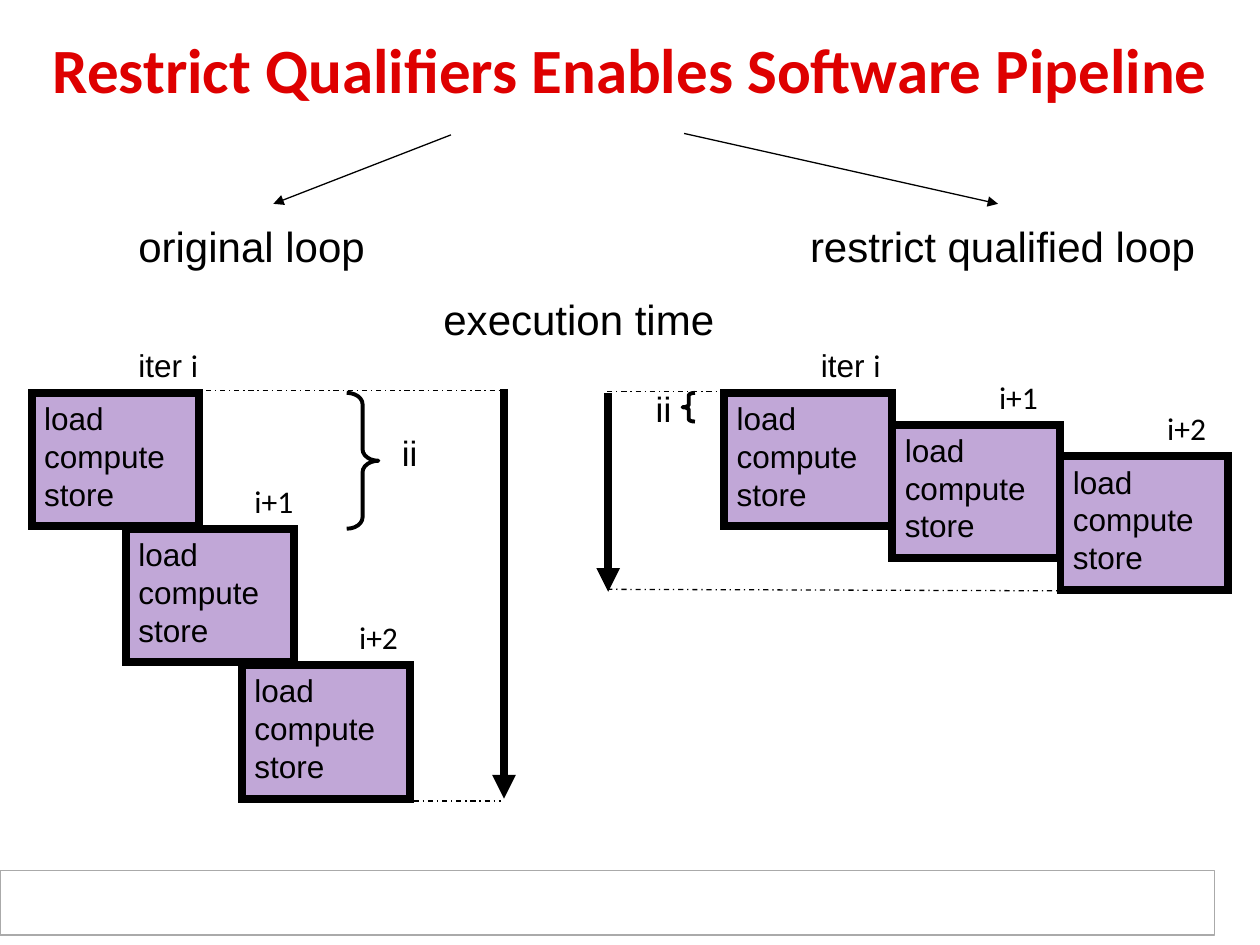
from lxml.etree import SubElement
from pptx import Presentation
from pptx.dml.color import RGBColor
from pptx.enum.dml import MSO_LINE
from pptx.enum.shapes import MSO_CONNECTOR, MSO_SHAPE
from pptx.enum.text import MSO_ANCHOR, MSO_AUTO_SIZE, PP_ALIGN
from pptx.oxml.ns import qn
from pptx.util import Cm, Pt

COLORS = {
    "title": "DE0000",
    "ink": "000000",
    "block": "C1A7D7",
    "paper": "FFFFFF",
    "footer line": "AAAAAA",
}
BLOCK_WIDTH, BLOCK_HEIGHT = 3.38, 2.69
LABEL_RISE = 1.07
# Width and (text, font) runs of each iteration label.
ITERATIONS = [
    (1.75, [("iter ", "Arial"), ("i", "Calibri")]),
    (1.4, [("i+1", "Calibri")]),
    (1.4, [("i+2", "Calibri")]),
]


def color(name):
    return RGBColor.from_string(COLORS[name])


def add_run(paragraph, text, size, font="Arial", ink="ink", bold=False):
    run = paragraph.add_run()
    run.text = text
    run.font.size = Pt(size)
    run.font.name = font
    run.font.bold = bold
    run.font.color.rgb = color(ink)


def add_label(slide, left, top, width, height, runs, size):
    """Add a one-line text box; runs holds (text, font) pairs."""
    box = slide.shapes.add_textbox(Cm(left), Cm(top), Cm(width), Cm(height))
    box.text_frame.word_wrap = False
    box.text_frame.auto_size = MSO_AUTO_SIZE.SHAPE_TO_FIT_TEXT
    for text, font in runs:
        add_run(box.text_frame.paragraphs[0], text, size, font)


def add_figure(slide, kind, left, top, width, height, line, weight, fill=None):
    shape = slide.shapes.add_shape(kind, Cm(left), Cm(top), Cm(width), Cm(height))
    shape.shadow.inherit = False
    shape.line.color.rgb = color(line)
    shape.line.width = Pt(weight)
    if fill:
        shape.fill.solid()
        shape.fill.fore_color.rgb = color(fill)
    else:
        shape.fill.background()
    return shape


def add_line(slide, start, end, weight=0.75, dashed=False, arrow=False):
    connector = slide.shapes.add_connector(
        MSO_CONNECTOR.STRAIGHT, *map(Cm, start + end))
    connector.line.color.rgb = color("ink")
    connector.line.width = Pt(weight)
    if dashed:
        connector.line.dash_style = MSO_LINE.DASH_DOT
    properties = connector.element.spPr
    if arrow:
        SubElement(properties.find(qn("a:ln")), qn("a:tailEnd"), type="triangle")
    SubElement(properties, qn("a:effectLst"))


def add_title(slide, left, top, width, height):
    title = slide.shapes.title
    title.left, title.top, title.width, title.height = map(
        Cm, (left, top, width, height))
    frame = title.text_frame
    frame.word_wrap = True
    frame.auto_size = MSO_AUTO_SIZE.NONE
    frame.vertical_anchor = MSO_ANCHOR.MIDDLE
    paragraph = frame.paragraphs[0]
    paragraph.alignment = PP_ALIGN.CENTER
    add_run(paragraph, "Restrict Qualifiers Enables Software Pipeline", 36,
            "Calibri", "title", bold=True)


def add_headings(slide, left, top):
    """Add the arrows from the title and the three headings below them."""
    for start, end in [((6.55, 0.03), (2.97, 1.42)), ((11.25, 0), (17.58, 1.42))]:
        add_line(slide, (left + start[0], top + start[1]),
                 (left + end[0], top + end[1]), arrow=True)
    for text, x, y, width in [("original loop", 0, 1.63, 5.08),
                              ("restrict qualified loop", 13.54, 1.63, 8.28),
                              ("execution time", 6.15, 3.1, 5.97)]:
        add_label(slide, left + x, top + y, width, 1.27, [(text, "Arial")], 24)


def add_block(slide, left, top):
    block = add_figure(slide, MSO_SHAPE.RECTANGLE, left, top, BLOCK_WIDTH,
                       BLOCK_HEIGHT, "ink", 4.5, "block")
    SubElement(block.element.spPr.find(qn("a:ln")), qn("a:miter"), lim="800000")
    frame = block.text_frame
    frame.vertical_anchor = MSO_ANCHOR.TOP
    for index, step in enumerate(["load", "compute", "store"]):
        paragraph = frame.add_paragraph() if index else frame.paragraphs[0]
        paragraph.alignment = PP_ALIGN.LEFT
        add_run(paragraph, step, 18)


def add_schedule(slide, left, top, blocks, timeline, guides, brace, interval):
    """Draw one loop's iterations and time axis relative to its first block.

    blocks: x, y and label indent of each iteration; timeline: x, start, end;
    guides: x1, y1, x2, y2; brace: kind, x, width, height, curve;
    interval: x and y of the ii label.
    """
    for x, y, _ in reversed(blocks):
        add_block(slide, left + x, top + y)
    for (x, y, indent), (width, runs) in zip(blocks, ITERATIONS):
        add_label(slide, left + x + indent, top + y - LABEL_RISE, width, 1.02, runs, 18)

    x, start, end = timeline
    add_line(slide, (left + x, top + start), (left + x, top + end), 4.5, arrow=True)
    for x1, y1, x2, y2 in guides:
        add_line(slide, (left + x1, top + y1), (left + x2, top + y2), dashed=True)

    kind, x, width, height, curve = brace
    shape = add_figure(slide, kind, left + x, top, width, height, "ink", 2.25)
    shape.adjustments[0] = curve
    shape.adjustments[1] = 0.5
    add_label(slide, left + interval[0], top + interval[1], 0.84, 1.09,
              [("ii", "Arial")], 20)


def main():
    presentation = Presentation()
    presentation.slide_width, presentation.slide_height = Cm(25.4), Cm(19.05)
    slide = presentation.slides.add_slide(presentation.slide_layouts[5])

    add_figure(slide, MSO_SHAPE.RECTANGLE, 0, 17.55, 24.49, 1.3,
               "footer line", 0.75, "paper")
    add_title(slide, 0.64, 0.43, 24.13, 1.9)
    add_headings(slide, 2.54, 2.69)
    add_schedule(
        slide, 0.64, 7.92,
        blocks=[(0, 0, 1.9), (1.9, 2.74, 2.34), (4.24, 5.49, 2.11)],
        timeline=(9.52, -0.08, 8.18),
        guides=[(3.51, -0.05, 9.45, -0.05), (7.7, 8.23, 9.45, 8.23)],
        brace=(MSO_SHAPE.RIGHT_BRACE, 6.35, 0.64, 2.74, 0.36),
        interval=(7.21, 0.66))
    add_schedule(
        slide, 14.6, 7.92,
        blocks=[(0, 0, 1.7), (3.39, 0.64, 1.9), (6.78, 1.28, 1.9)],
        timeline=(-2.34, 0, 4.01),
        guides=[(-2.36, -0.03, -0.05, -0.03), (-2.36, 3.96, 6.71, 3.99)],
        brace=(MSO_SHAPE.LEFT_BRACE, -0.84, 0.25, 0.58, 0.2),
        interval=(-1.63, -0.23))
    presentation.save("out.pptx")


if __name__ == "__main__":
    main()
